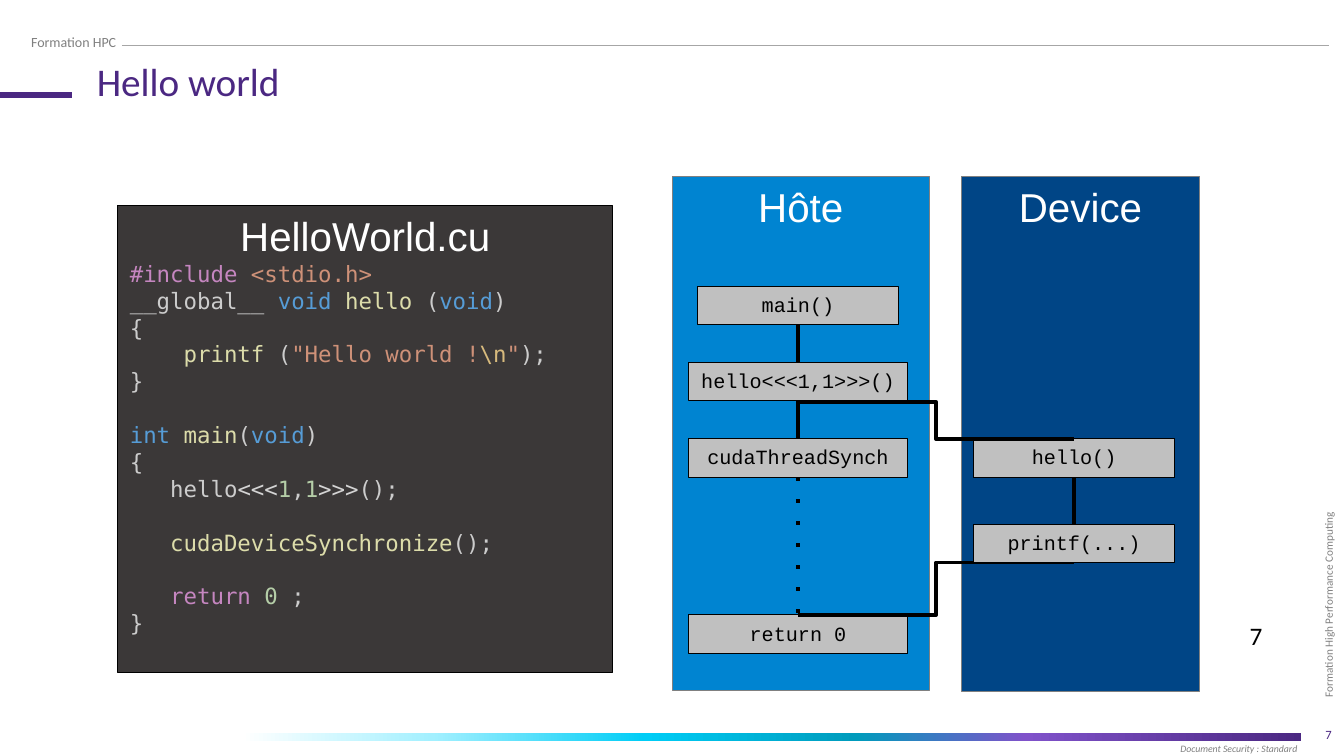
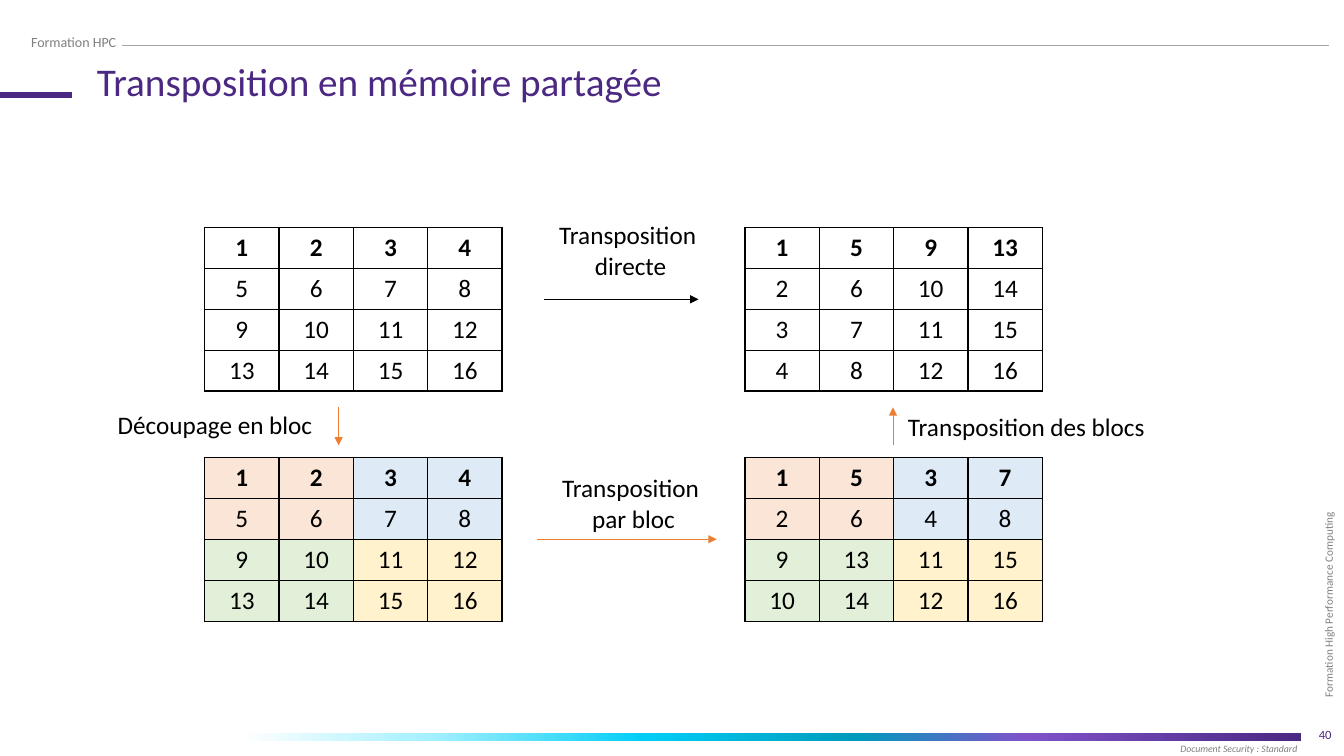
from dataclasses import dataclass
from typing import Callable, NamedTuple, Optional, Sequence, Union

from lxml import etree
from pptx import Presentation
from pptx.dml.color import RGBColor
from pptx.enum.shapes import MSO_CONNECTOR, MSO_SHAPE
from pptx.enum.text import MSO_ANCHOR, MSO_AUTO_SIZE, PP_ALIGN
from pptx.oxml.ns import qn
from pptx.util import Pt

LEFT, CENTER, RIGHT = PP_ALIGN.LEFT, PP_ALIGN.CENTER, PP_ALIGN.RIGHT
TOP, MIDDLE = MSO_ANCHOR.TOP, MSO_ANCHOR.MIDDLE
STRAIGHT, ELBOW = MSO_CONNECTOR.STRAIGHT, MSO_CONNECTOR.ELBOW
RECT = MSO_SHAPE.RECTANGLE
NO_FIT = MSO_AUTO_SIZE.NONE


@dataclass(frozen=True)
class Theme:
    # Fonts
    body: str = "Calibri"
    heading: str = "Arial"
    mono: str = "Courier New"
    code: str = "DejaVu Sans Mono"
    # Type sizes
    title_pt: float = 28
    heading_pt: float = 28.8
    body_pt: float = 18
    code_pt: float = 16
    code_line_pt: float = 19.2
    box_pt: float = 14.4
    header_pt: float = 10
    number_pt: float = 9
    side_pt: float = 8
    footer_pt: float = 7
    # Colours
    black: str = "000000"
    white: str = "FFFFFF"
    purple: str = "4B2882"
    gray: str = "808080"
    rule: str = "A6A6A6"
    box: str = "C0C0C0"
    host: str = "0084D1"
    device: str = "004586"
    code_bg: str = "3B3838"
    orange: str = "ED7D31"
    band: tuple = ((0, "FFFFFF"), (18, "A3F0FF"), (38, "00CDF6"),
                   (58, "009BBC"), (74, "8052CA"), (100, "4B2882"))
    blocks: tuple = ("FBE5D6", "DEEBF7", "E2F0D9", "FFF2CC")
    # Syntax colours
    plain: str = "CCCCCC"
    operator: str = "D4D4D4"
    keyword: str = "C586C0"
    type_: str = "569CD6"
    func: str = "DCDCAA"
    string: str = "CE9178"
    escape: str = "D7BA7D"
    number: str = "B5CEA8"


T = Theme()


class Area(NamedTuple):
    x: float
    y: float
    w: float
    h: float


class Style(NamedTuple):
    size: float
    color: str = T.black
    font: str = T.body
    bold: bool = False
    italic: bool = False


class Box(NamedTuple):
    text: str
    cx: float
    y: float
    w: float


class Link(NamedTuple):
    x1: float
    y1: float
    x2: float
    y2: float
    kind: int = STRAIGHT
    dotted: bool = False


class Arrow(NamedTuple):
    x1: float
    y1: float
    x2: float
    y2: float
    color: str


class Label(NamedTuple):
    area: Area
    lines: Sequence[str]
    align: int


class Grid(NamedTuple):
    x: float
    y: float
    value: Callable[[int, int], int]
    colored: bool


class CodeLine(NamedTuple):
    runs: Sequence[tuple]
    gap: bool = False


# Drawing helpers
def add_run(p, text: str, style: Style) -> None:
    r = p.add_run()
    r.text = text
    r.font.size, r.font.name = Pt(style.size), style.font
    r.font.bold, r.font.italic = style.bold, style.italic
    r.font.color.rgb = RGBColor.from_string(style.color)


def set_frame(tf, anchor: int = TOP, wrap: bool = True, inset: Optional[tuple] = None) -> None:
    tf.word_wrap, tf.vertical_anchor, tf.auto_size = wrap, anchor, NO_FIT
    if inset:
        tf.margin_left = tf.margin_right = Pt(inset[0])
        tf.margin_top = tf.margin_bottom = Pt(inset[1])


def add_text(slide, area: Area, lines: Sequence[str], style: Style, align: int = LEFT,
             anchor: int = TOP, wrap: bool = True, inset: Optional[tuple] = None):
    sp = slide.shapes.add_textbox(*map(Pt, area))
    set_frame(sp.text_frame, anchor, wrap, inset)
    p = sp.text_frame.paragraphs[0]
    p.alignment = align
    for i, line in enumerate(lines):
        if i:
            p.add_line_break()
        add_run(p, line, style)
    return sp


def add_panel(slide, area: Area, fill: str, line: str, text: str, style: Style):
    sp = slide.shapes.add_shape(RECT, *map(Pt, area))
    sp.shadow.inherit = False
    sp.fill.solid()
    sp.fill.fore_color.rgb = RGBColor.from_string(fill)
    sp.line.color.rgb = RGBColor.from_string(line)
    sp.line.width = Pt(0.75)
    set_frame(sp.text_frame, inset=(8.6, 4.3))
    p = sp.text_frame.paragraphs[0]
    p.alignment = CENTER
    add_run(p, text, style)
    return sp


def add_line(slide, x1: float, y1: float, x2: float, y2: float, color: str,
             width: float, kind: int = STRAIGHT):
    cx = slide.shapes.add_connector(kind, Pt(x1), Pt(y1), Pt(x2), Pt(y2))
    cx.line.color.rgb = RGBColor.from_string(color)
    cx.line.width = Pt(width)
    etree.SubElement(cx.element.spPr, qn("a:effectLst"))
    return cx


def add_arrow(slide, arrow: Arrow) -> None:
    cx = add_line(slide, *arrow, width=0.5)
    etree.SubElement(cx.element.spPr.find(qn("a:ln")), qn("a:tailEnd"), type="triangle")


def add_step(slide, step: Union[Box, Link]) -> None:
    if isinstance(step, Box):
        area = Area(step.cx - step.w / 2, step.y, step.w, BOX_H)
        add_panel(slide, area, T.box, T.black, step.text, Style(T.box_pt, font=T.mono))
        return
    cx = add_line(slide, *step[:4], T.black, 2.83, step.kind)
    if step.dotted:
        dash = etree.SubElement(cx.element.spPr.find(qn("a:ln")), qn("a:custDash"))
        etree.SubElement(dash, qn("a:ds"), d="100000", sp="455000")


def add_grid(slide, grid: Grid) -> None:
    frame = slide.shapes.add_table(N, N, Pt(grid.x), Pt(grid.y), Pt(N * CELL_W), Pt(N * CELL_H))
    table = frame.table
    table.first_row = table.horz_banding = False
    for i in range(N):
        table.columns[i].width, table.rows[i].height = Pt(CELL_W), Pt(CELL_H)
    for row in range(N):
        for col in range(N):
            cell = table.cell(row, col)
            p = cell.text_frame.paragraphs[0]
            p.alignment = CENTER
            add_run(p, str(grid.value(row, col)), Style(T.body_pt, bold=row == 0))
            tc_pr = cell._tc.get_or_add_tcPr()
            for side in ("a:lnL", "a:lnR", "a:lnT", "a:lnB"):
                ln = etree.SubElement(tc_pr, qn(side), w=str(Pt(1)))
                etree.SubElement(etree.SubElement(ln, qn("a:solidFill")), qn("a:srgbClr"), val=T.black)
            fill = T.blocks[row // 2 * 2 + col // 2] if grid.colored else T.white
            cell.fill.solid()
            cell.fill.fore_color.rgb = RGBColor.from_string(fill)


# Shared frame, kept on the layout
def build_layout(prs, layout) -> None:
    slide = prs.slides[0]
    sp = add_text(slide, Area(856.8, 401, 182.2, 26), ["Formation High Performance Computing"],
                  Style(T.side_pt, T.gray), anchor=MIDDLE, inset=(7.2, 7.2))
    sp.rotation = 270
    sp.text_frame.paragraphs[0].line_spacing = 1.2
    add_text(slide, Area(840.2, 527.8, 90.7, 14.4), ["Document Security : Standard"],
             Style(T.footer_pt, T.gray, italic=True), anchor=MIDDLE, wrap=False, inset=(2.9, 2.9))
    band = slide.shapes.add_shape(RECT, Pt(172.8), Pt(523.4), Pt(756.7), Pt(5.8))
    band.shadow.inherit = False
    band.line.fill.background()
    band.fill.gradient()
    band.fill.gradient_angle = 0
    stops = band.element.spPr.find(qn("a:gradFill")).find(qn("a:gsLst"))
    stops.clear()
    for pos, color in T.band:
        gs = etree.SubElement(stops, qn("a:gs"), pos=str(pos * 1000))
        etree.SubElement(gs, qn("a:srgbClr"), val=color)
    add_text(slide, Area(15.1, 20.2, 137.5, 19.4), ["Formation HPC"], Style(T.header_pt, T.gray))
    add_line(slide, 87.1, 32.4, 949, 32.4, T.rule, 0.5)
    add_line(slide, 0, 67.9, 51.1, 67.9, T.purple, 4.5)
    for i, s in enumerate(list(slide.shapes)):
        if not s.is_placeholder:
            next(s.element.iter(qn("p:cNvPr"))).set("id", str(100 + i))
            layout.shapes.element.append(s.element)


def start_slide(slide, title: str, width: float, number: str) -> None:
    sp = slide.shapes.title
    sp.left, sp.top, sp.width, sp.height = Pt(61.9), Pt(41), Pt(width), Pt(25.9)
    set_frame(sp.text_frame)
    p = sp.text_frame.paragraphs[0]
    p.alignment, p.line_spacing = LEFT, 0.9
    add_run(p, title, Style(T.title_pt, T.purple))
    add_text(slide, Area(742.3, 510.5, 216, 28.8), [number],
             Style(T.number_pt, T.purple), align=RIGHT, anchor=MIDDLE)


# Hello world: flow and listing
BOX_H, HOST_X, DEVICE_X = 27.4, 570, 767.2
NARROW, WIDE = 143, 157
MAIN_Y, LAUNCH_Y, SYNC_Y, PRINT_Y, RETURN_Y = 204.5, 259, 313.4, 374.4, 439.2
FLOW = (
    Box("main()", HOST_X, MAIN_Y, NARROW),
    Box("hello<<<1,1>>>()", HOST_X, LAUNCH_Y, WIDE),
    Link(HOST_X, MAIN_Y + BOX_H, HOST_X, LAUNCH_Y),
    Box("cudaThreadSynch", HOST_X, SYNC_Y, WIDE),
    Link(HOST_X, LAUNCH_Y + BOX_H, HOST_X, SYNC_Y),
    Box("hello()", DEVICE_X, SYNC_Y, NARROW),
    Link(HOST_X, LAUNCH_Y + BOX_H + 0.6, DEVICE_X, SYNC_Y, ELBOW),
    Box("return 0", HOST_X, RETURN_Y, WIDE),
    Link(HOST_X, RETURN_Y, DEVICE_X, PRINT_Y + BOX_H, ELBOW),
    Box("printf(...)", DEVICE_X, PRINT_Y, NARROW),
    Link(DEVICE_X, SYNC_Y + BOX_H, DEVICE_X, PRINT_Y),
    Link(HOST_X, SYNC_Y + BOX_H, HOST_X, RETURN_Y, dotted=True),
)
OPEN, CLOSE = CodeLine([("{", T.plain)]), CodeLine([("}", T.plain)])
CODE = (
    CodeLine([("#include ", T.keyword), ("<stdio.h>", T.string)]),
    CodeLine([("__global__ ", T.plain), ("void ", T.type_), ("hello", T.func),
              (" (", T.plain), ("void", T.type_), (")", T.plain)]),
    OPEN,
    CodeLine([("    ", T.plain), ("printf", T.func), (" (", T.plain), ('"Hello world !', T.string),
              ("\\n", T.escape), ('"', T.string), (");", T.plain)]),
    CLOSE,
    CodeLine([("int ", T.type_), ("main", T.func), ("(", T.plain),
              ("void", T.type_), (")", T.plain)], gap=True),
    OPEN,
    CodeLine([("   hello", T.plain), ("<<<", T.operator), ("1", T.number), (",", T.plain),
              ("1", T.number), (">>>", T.operator), ("();", T.plain)]),
    CodeLine([("   ", T.plain), ("cudaDeviceSynchronize", T.func), ("();", T.plain)], gap=True),
    CodeLine([("   ", T.plain), ("return ", T.keyword), ("0", T.number), (" ;", T.plain)], gap=True),
    CLOSE,
)


def build_hello(slide) -> None:
    start_slide(slide, "Hello world", 401.8, "7")
    add_text(slide, Area(885.6, 439.9, 74.4, 28.8), ["7"], Style(T.body_pt))
    heading = Style(T.heading_pt, T.white, T.heading)
    add_panel(slide, Area(480.2, 126, 183.6, 367.2), T.host, T.gray, "Hôte", heading)
    add_panel(slide, Area(686.9, 126, 169.9, 367.9), T.device, T.gray, "Device", heading)
    for step in FLOW:
        add_step(slide, step)
    sp = add_panel(slide, Area(84.2, 146.9, 353.5, 333.4), T.code_bg, T.black, "HelloWorld.cu", heading)
    for line in CODE:
        p = sp.text_frame.add_paragraph()
        p.alignment, p.line_spacing = LEFT, Pt(T.code_line_pt)
        p.space_before = Pt(T.code_line_pt if line.gap else 0)
        for text, color in line.runs:
            add_run(p, text, Style(T.code_pt, color, T.code))


# Transposition: matrices, arrows and labels
N, CELL_W, CELL_H = 4, 53.1, 29.2
LEFT_X, RIGHT_X, TOP_Y, LOW_Y = 146.2, 532.1, 162.5, 326.9


def entry(row: int, col: int) -> int:
    return row * N + col + 1


def transposed(row: int, col: int) -> int:
    return entry(col, row)


def block_transposed(row: int, col: int) -> int:
    return entry(row // 2 * 2 + col % 2, col // 2 * 2 + row % 2)


GRIDS = (Grid(LEFT_X, TOP_Y, entry, False), Grid(RIGHT_X, TOP_Y, transposed, False),
         Grid(LEFT_X, LOW_Y, entry, True), Grid(RIGHT_X, LOW_Y, block_transposed, True))
ARROWS = (Arrow(388.8, 213.8, 499, 213.8, T.black), Arrow(241.9, 291, 241.9, 318.2, T.orange),
          Arrow(383.8, 385.2, 511.9, 385.2, T.orange), Arrow(637.9, 318.2, 637.9, 291, T.orange))
LABELS = (Label(Area(391.7, 153.4, 117.4, 51.1), ["Transposition ", "directe"], CENTER),
          Label(Area(77, 288.7, 159.8, 28.8), ["Découpage en bloc"], LEFT),
          Label(Area(393.8, 334.1, 117.4, 51.1), ["Transposition ", "par bloc"], CENTER),
          Label(Area(641.5, 290.2, 190.1, 28.8), ["Transposition des blocs"], LEFT))


def build_transposition(slide) -> None:
    start_slide(slide, "Transposition en mémoire partagée", 555.8, "40")
    for grid in GRIDS:
        add_grid(slide, grid)
    for arrow in ARROWS:
        add_arrow(slide, arrow)
    for label in LABELS:
        add_text(slide, label.area, label.lines, Style(T.body_pt), label.align, wrap=False)


def main() -> None:
    prs = Presentation()
    prs.slide_width, prs.slide_height = Pt(960), Pt(540)
    layout = prs.slide_layouts[5]
    hello, transposition = (prs.slides.add_slide(layout) for _ in range(2))
    build_layout(prs, layout)
    build_hello(hello)
    build_transposition(transposition)
    prs.save("out.pptx")


if __name__ == "__main__":
    main()
